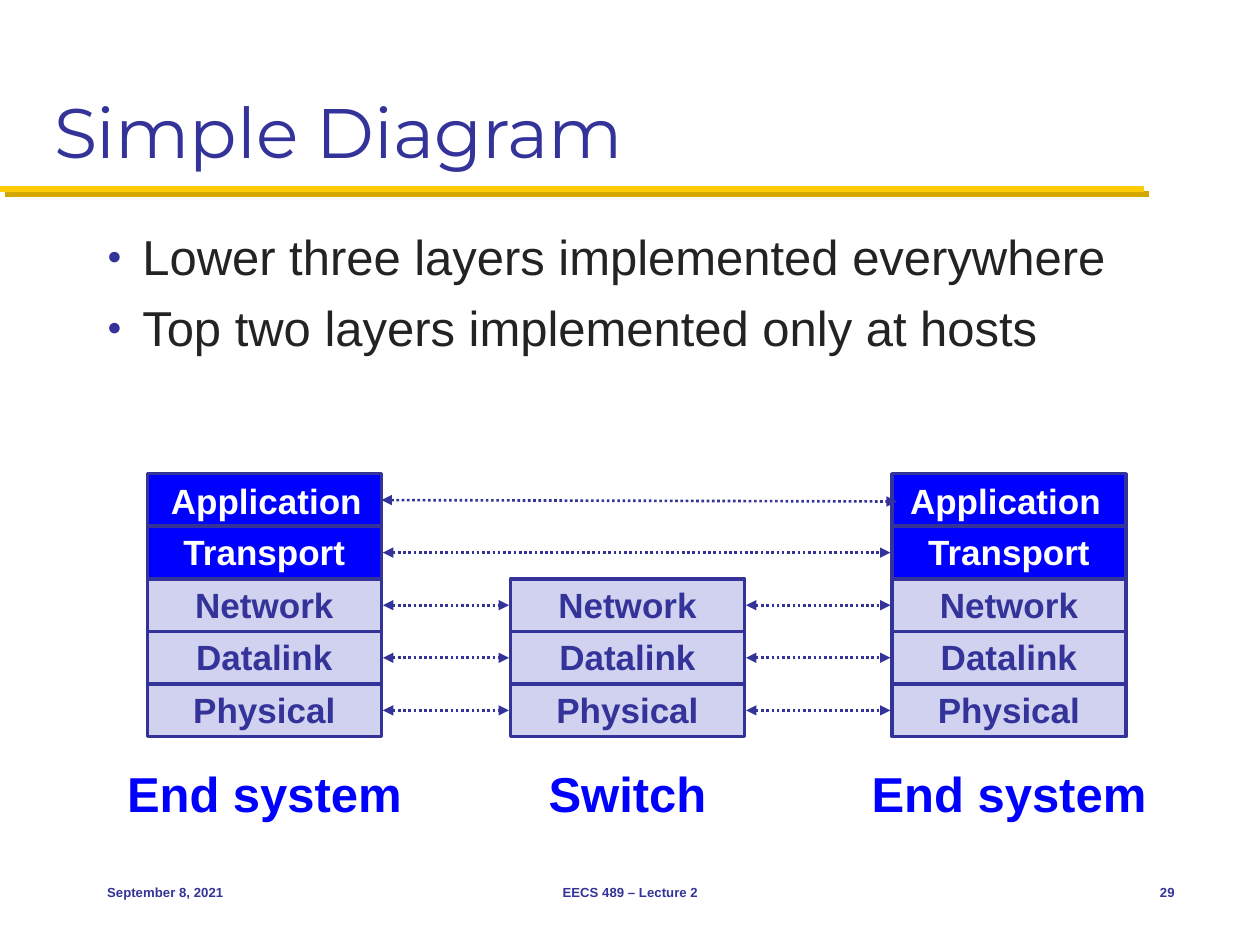
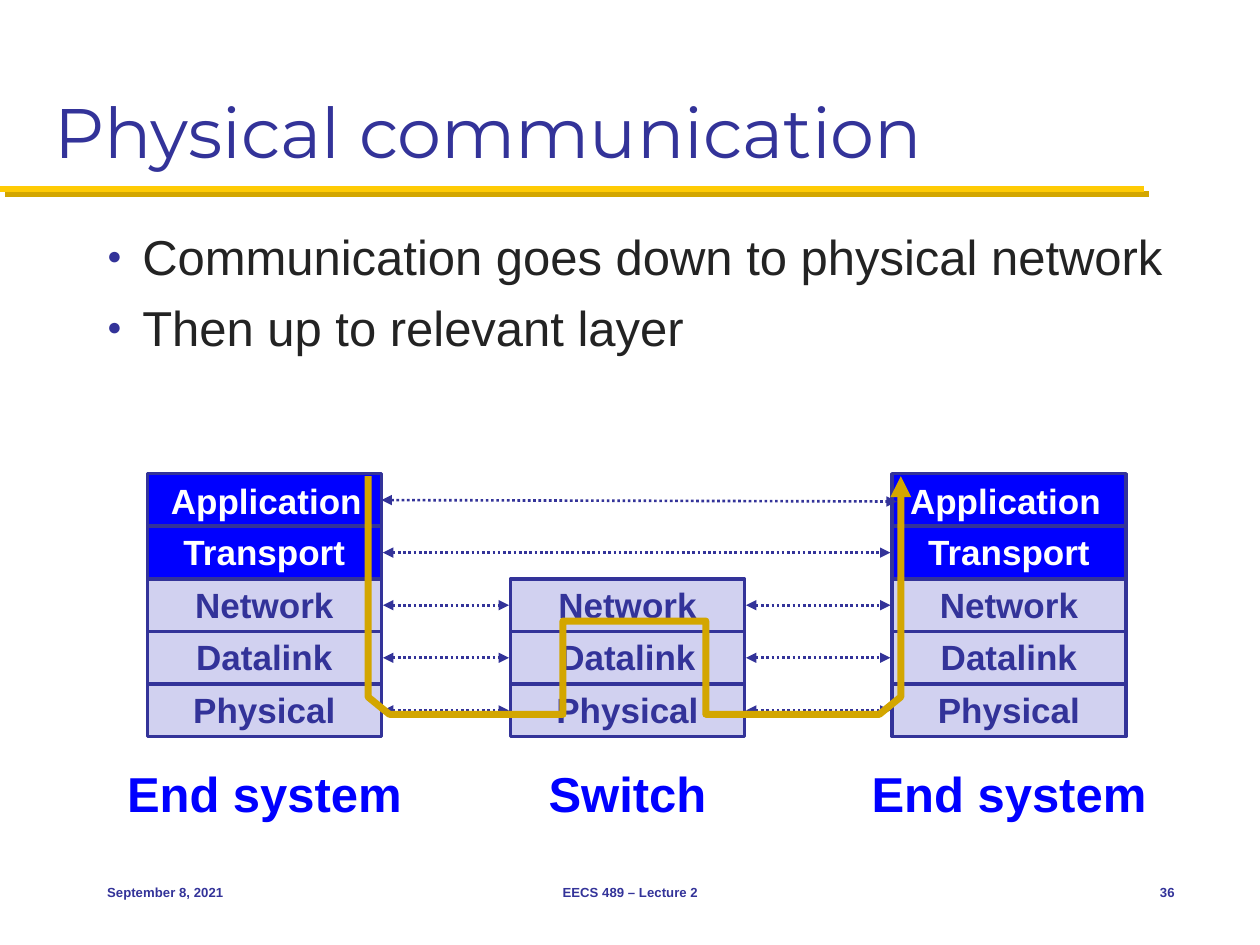
from lxml.etree import SubElement
from pptx import Presentation
from pptx.dml.color import RGBColor
from pptx.enum.dml import MSO_LINE
from pptx.enum.shapes import MSO_CONNECTOR, MSO_SHAPE
from pptx.enum.text import MSO_ANCHOR, PP_ALIGN
from pptx.oxml.ns import qn
from pptx.util import Cm, Pt

COLORS = {
    "navy": "333399", "blue": "0000FF", "lavender": "D1D1F0", "white": "FFFFFF",
    "ink": "232323", "maize": "FFCB05", "gold": "D3A600",
}
SLIDES = [
    {"title": "Simple Diagram", "number": "29", "show_route": False,
     "points": ["Lower three layers implemented everywhere",
                "Top two layers implemented only at hosts"]},
    {"title": "Physical communication", "number": "36", "show_route": True,
     "points": ["Communication goes down to physical network",
                "Then up to relevant layer"]},
]
LECTURE_DATE = "September 8, 2021"
LECTURE = "EECS 489 – Lecture 2"

LAYERS = [("Application", 4.39), ("Transport", 3.81), ("Network", 3.33),
          ("Datalink", 3.28), ("Physical", 3.4)]
HOST_LAYERS = 2
SYSTEMS = [
    {"name": "End system", "left": 2.97, "first": 0, "name_width": 6.12, "nudge": 0.04},
    {"name": "Switch", "left": 10.29, "first": HOST_LAYERS, "name_width": 3.73, "nudge": 0},
    {"name": "End system", "left": 17.98, "first": 0, "name_width": 6.12, "nudge": -0.07},
]
STACK_TOP, LAYER_WIDTH, LAYER_HEIGHT = 9.55, 4.72, 1.06
LABEL_HEIGHT, LINK_GAP = 1.12, 0.03

ROUTE_CENTER = 12.79
ROUTE_DOWN = [(7.42, 9.6), (7.42, 14.05), (7.85, 14.4), (11.35, 14.4), (11.35, 12.52)]
ROUTE = ROUTE_DOWN + [(2 * ROUTE_CENTER - x, y) for x, y in reversed(ROUTE_DOWN)]


def color(name):
    return RGBColor.from_string(COLORS[name])


def add_text(slide, text, box, size, ink="navy", font="Arial", bold=False,
             align=PP_ALIGN.LEFT, anchor=MSO_ANCHOR.TOP, wrap=False, bullet=False):
    frame = slide.shapes.add_textbox(*map(Cm, box)).text_frame
    frame.word_wrap = wrap
    frame.vertical_anchor = anchor
    frame.text = text
    for paragraph in frame.paragraphs:
        paragraph.alignment = align
        paragraph.font.size = Pt(size)
        paragraph.font.name = font
        paragraph.font.bold = bold
        paragraph.font.color.rgb = color(ink)
        if bullet:
            add_bullet(paragraph)


def add_bullet(paragraph):
    paragraph.space_before = Pt(7)
    properties = paragraph._p.get_or_add_pPr()
    properties.set("marL", str(Cm(0.71)))
    properties.set("indent", str(-Cm(0.71)))
    SubElement(SubElement(properties, qn("a:buClr")), qn("a:srgbClr"), val=COLORS["navy"])
    SubElement(properties, qn("a:buSzPct"), val="50000")
    SubElement(properties, qn("a:buFont"), typeface="Arial")
    SubElement(properties, qn("a:buChar"), char="●")


def style_line(line, ink, width, ends=()):
    line.color.rgb = color(ink)
    line.width = Pt(width)
    for end in ends:
        SubElement(line._get_or_add_ln(), qn(f"a:{end}"), type="triangle")


def add_line(slide, start, end, ink, width, dash=None, ends=()):
    connector = slide.shapes.add_connector(
        MSO_CONNECTOR.STRAIGHT, *map(Cm, (*start, *end)))
    if dash:
        connector.line.dash_style = dash
    style_line(connector.line, ink, width, ends)
    return SubElement(connector._element.spPr, qn("a:effectLst"))


def add_frame(slide, content):
    effects = add_line(slide, (0, 3.81), (23.06, 3.81), "maize", 3.5)
    shadow = SubElement(effects, qn("a:outerShdw"), dist=str(Pt(4.2)), dir="2700000",
                        algn="ctr", rotWithShape="0")
    SubElement(shadow, qn("a:srgbClr"), val=COLORS["gold"])
    add_text(slide, content["title"], (0.84, 0.43, 23.7, 3.18), 40,
             font="Montserrat", anchor=MSO_ANCHOR.BOTTOM, wrap=True)
    add_text(slide, "\n".join(content["points"]), (1.91, 4.45, 22.02, 12.27), 28,
             ink="ink", wrap=True, bullet=True)
    for text, left, width, align in [
        (LECTURE_DATE, 1.91, 5.28, PP_ALIGN.LEFT),
        (LECTURE, 8.68, 8.05, PP_ALIGN.CENTER),
        (content["number"], 22.23, 1.7, PP_ALIGN.RIGHT),
    ]:
        add_text(slide, text, (left, 17.35, width, 1.27), 7.5, bold=True,
                 align=align, anchor=MSO_ANCHOR.MIDDLE, wrap=True)


def layer_top(row):
    return STACK_TOP + row * LAYER_HEIGHT


def add_stack(slide, system):
    center = system["left"] + LAYER_WIDTH / 2
    for row in range(system["first"], len(LAYERS)):
        label, label_width = LAYERS[row]
        host_only = row < HOST_LAYERS
        layer = slide.shapes.add_shape(
            MSO_SHAPE.RECTANGLE, Cm(system["left"]), Cm(layer_top(row)),
            Cm(LAYER_WIDTH), Cm(LAYER_HEIGHT))
        layer.shadow.inherit = False
        layer.fill.solid()
        layer.fill.fore_color.rgb = color("blue" if host_only else "lavender")
        style_line(layer.line, "navy", 2)
        nudge, lift = (system["nudge"], 0) if row == 0 else (0, 0.04)
        add_text(slide, label,
                 (center - label_width / 2 + nudge, layer_top(row) - lift,
                  label_width, LABEL_HEIGHT),
                 20, ink="white" if host_only else "navy", bold=True,
                 align=PP_ALIGN.CENTER)
    add_text(slide, system["name"],
             (center - system["name_width"] / 2, 15.27, system["name_width"], 1.45),
             28, ink="blue", bold=True, align=PP_ALIGN.CENTER)


def add_links(slide):
    for row in range(len(LAYERS)):
        peers = [system for system in SYSTEMS if system["first"] <= row]
        middle = layer_top(row) + LAYER_HEIGHT / 2
        for near, far in zip(peers, peers[1:]):
            start = near["left"] + LAYER_WIDTH
            gaps = (0, -0.1) if row == 0 else (LINK_GAP, LINK_GAP)
            drop = 0.03 if row == 0 else 0
            add_line(slide, (start + gaps[0], middle),
                     (far["left"] - gaps[1], middle + drop), "navy", 1.5,
                     dash=MSO_LINE.ROUND_DOT, ends=("headEnd", "tailEnd"))


def add_route(slide):
    corners = [(Cm(x), Cm(y)) for x, y in ROUTE]
    builder = slide.shapes.build_freeform(*corners[0])
    builder.add_line_segments(corners[1:], close=False)
    route = builder.convert_to_shape()
    route.shadow.inherit = False
    route.fill.background()
    style_line(route.line, "gold", 4, ends=("tailEnd",))


def main():
    deck = Presentation()
    deck.slide_width, deck.slide_height = Cm(25.4), Cm(19.05)
    for content in SLIDES:
        slide = deck.slides.add_slide(deck.slide_layouts[6])
        add_frame(slide, content)
        for system in SYSTEMS:
            add_stack(slide, system)
        add_links(slide)
        if content["show_route"]:
            add_route(slide)
    deck.save("out.pptx")


if __name__ == "__main__":
    main()
